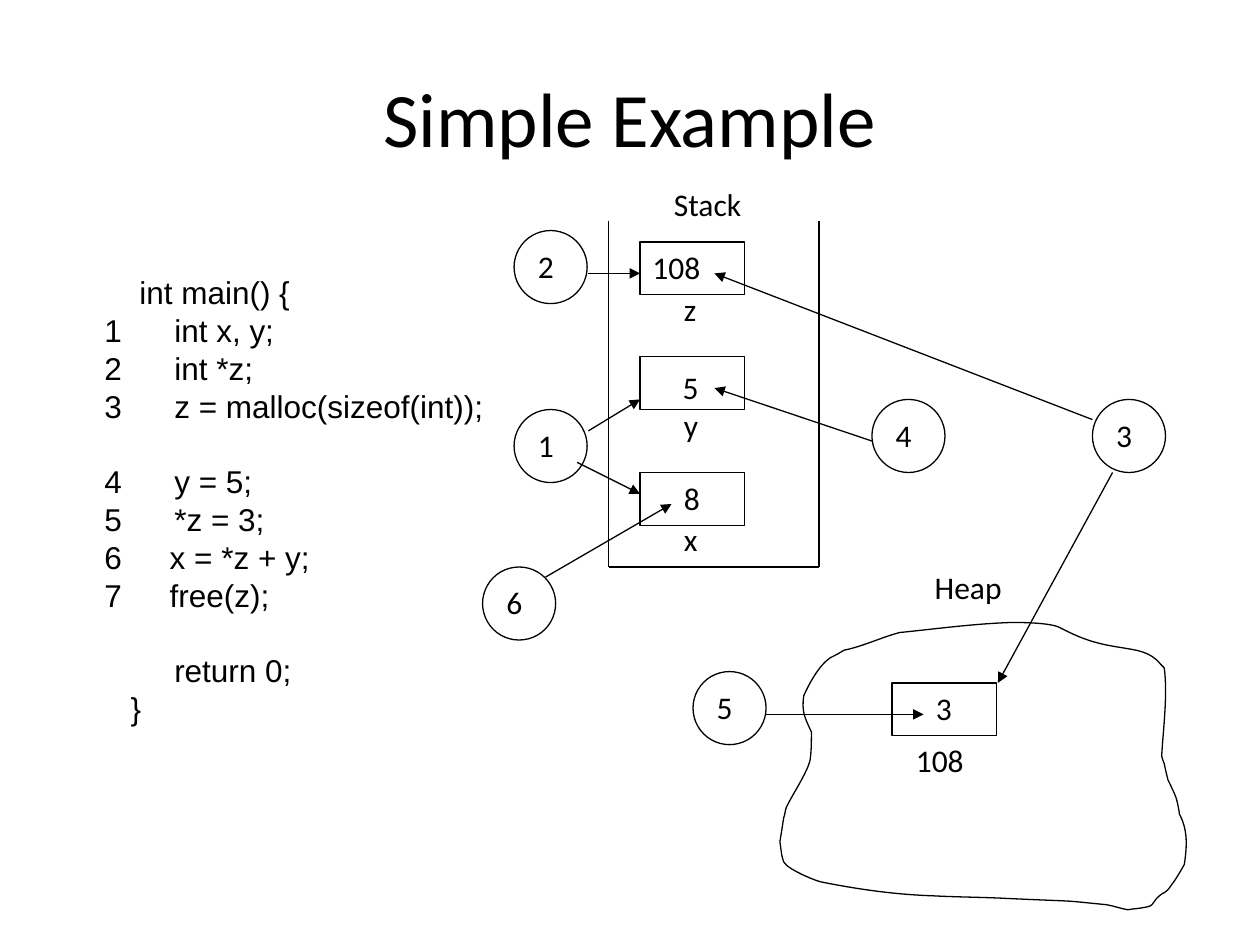
import pptx
import pptx.dml.color
import pptx.enum.shapes
import pptx.enum.text
import pptx.oxml.ns
import pptx.util
from lxml import etree
from pptx.util import Inches

BLACK = "000000"
CODE = [
    ("    int main() {", None, 0),
    ("1      int x, y;", None, 0),
    ("2      int *z;", None, 0),
    ("3      z = malloc(sizeof(int));", None, 0),
    ("4      y = 5;", None, 1),
    ("5      *z = 3;", None, 0),
    ("  x = *z + y;", 6, 0),
    ("  free(z);", 6, 0),
    ("        return 0;", None, 1),
    ("   }", None, 0),
]
STACK_WALLS = [
    (4.83, 1.75, 4.83, 4.5),
    (4.83, 4.5, 6.5, 4.5),
    (6.5, 1.75, 6.5, 4.5),
]
STEPS = [
    ("1", 4.08, 3.25, [(4.67, 3.42, 5.08, 3.17), (4.58, 3.67, 5.08, 3.92)]),
    ("2", 4.08, 1.83, [(4.67, 2.17, 5.08, 2.17)]),
    ("3", 8.67, 3.17, [(8.67, 3.33, 5.67, 2.17), (8.83, 3.75, 7.92, 5.42)]),
    ("4", 6.92, 3.17, [(6.92, 3.5, 5.67, 3.08)]),
    ("5", 5.5, 5.33, [(6.08, 5.67, 7.33, 5.67)]),
    ("6", 3.83, 4.5, [(4.33, 4.58, 5.33, 4)]),
]
CELLS = [(5.08, 3.75), (5.08, 2.83), (5.08, 1.92), (7.08, 5.42)]
LABELS = [
    ("Stack", 5.25, 1.42, 0.83),
    ("Heap", 7.32, 4.46, 0.8),
    ("y", 5.33, 3.17, 0.33),
    ("x", 5.33, 4.08, 0.33),
    ("z", 5.33, 2.25, 0.33),
    ("108", 7.17, 5.83, 0.62),
    ("108", 5.08, 1.92, 0.62),
    ("5", 5.32, 2.87, 0.34),
    ("3", 7.33, 5.42, 0.34),
    ("8", 5.33, 3.75, 0.34),
]
HEAP_START = (7.14, 5.02)
HEAP_CURVES = [
    (6.99, 5.06, 6.85, 5.13, 6.7, 5.16),
    (6.68, 5.17, 6.67, 5.18, 6.65, 5.19),
    (6.63, 5.2, 6.61, 5.21, 6.59, 5.22),
    (6.5, 5.28, 6.42, 5.43, 6.38, 5.52),
    (6.36, 5.65, 6.39, 5.7, 6.44, 5.81),
    (6.44, 5.88, 6.44, 5.96, 6.43, 6.03),
    (6.41, 6.13, 6.28, 6.32, 6.24, 6.41),
    (6.23, 6.44, 6.23, 6.47, 6.22, 6.49),
    (6.21, 6.56, 6.19, 6.68, 6.19, 6.68),
    (6.2, 6.74, 6.2, 6.79, 6.22, 6.84),
    (6.25, 6.9, 6.47, 6.99, 6.52, 7),
    (6.82, 7.06, 7.11, 7.1, 7.41, 7.11),
    (7.6, 7.12, 7.79, 7.12, 7.98, 7.13),
    (8.63, 7.16, 8.37, 7.14, 8.78, 7.18),
    (8.84, 7.19, 8.89, 7.21, 8.95, 7.22),
    (9.01, 7.21, 9.07, 7.21, 9.13, 7.19),
    (9.15, 7.18, 9.16, 7.15, 9.18, 7.13),
    (9.25, 7.06, 9.24, 7.11, 9.3, 7.02),
    (9.34, 6.97, 9.4, 6.86, 9.4, 6.86),
    (9.42, 6.72, 9.43, 6.59, 9.36, 6.46),
    (9.36, 6.44, 9.34, 6.34, 9.33, 6.32),
    (9.31, 6.27, 9.27, 6.19, 9.27, 6.19),
    (9.26, 6.15, 9.25, 6.11, 9.24, 6.06),
    (9.23, 6.04, 9.22, 6, 9.22, 6),
    (9.23, 5.81, 9.27, 5.51, 9.24, 5.3),
    (9.23, 5.29, 9.22, 5.28, 9.21, 5.27),
    (9.13, 5.17, 9.02, 5.16, 8.9, 5.14),
    (8.71, 5.11, 8.6, 5.08, 8.41, 4.98),
    (8.33, 4.94, 8.09, 4.94, 8.03, 4.94),
    (7.73, 4.95, 7.44, 4.99, 7.14, 5.02),
]


def color(value):
    return pptx.dml.color.RGBColor.from_string(value)


def add_xml(parent, tag, **attributes):
    return etree.SubElement(parent, pptx.oxml.ns.qn(tag), attributes)


def write(paragraph, text, size=18, font="Calibri", fill=BLACK, align=None):
    run = paragraph.add_run()
    run.text = text
    run.font.size = pptx.util.Pt(size)
    run.font.name = font
    run.font.color.rgb = color(fill)
    paragraph.alignment = align


def add_text_frame(shapes, left, top, width, height):
    box = shapes.add_textbox(Inches(left), Inches(top), Inches(width), Inches(height))
    frame = box.text_frame
    frame.word_wrap = False
    frame.auto_size = pptx.enum.text.MSO_AUTO_SIZE.SHAPE_TO_FIT_TEXT
    return frame


def add_label(shapes, text, left, top, width):
    write(add_text_frame(shapes, left, top, width, 0.4).paragraphs[0], text)


def outline(shape):
    shape.shadow.inherit = False
    shape.fill.background()
    shape.line.color.rgb = color(BLACK)
    shape.line.width = pptx.util.Pt(0.75)


def add_outline(shapes, kind, left, top, width, height):
    outline(shapes.add_shape(kind, Inches(left), Inches(top), Inches(width), Inches(height)))


def add_line(shapes, ends, arrow=False):
    line = shapes.add_connector(
        pptx.enum.shapes.MSO_CONNECTOR.STRAIGHT, *[Inches(end) for end in ends]
    )
    line.line.color.rgb = color(BLACK)
    line.line.width = pptx.util.Pt(0.75)
    if arrow:
        add_xml(line.line._get_or_add_ln(), "a:tailEnd", type="triangle")
    add_xml(line._element.spPr, "a:effectLst")


def add_step(shapes, number, left, top):
    step = shapes.add_group_shape().shapes
    add_outline(step, pptx.enum.shapes.MSO_SHAPE.OVAL, left, top, 0.58, 0.58)
    add_label(step, number, left + 0.09, top + 0.08, 0.34)


def add_heap(shapes):
    points = [
        (Inches(curve[i]), Inches(curve[i + 1])) for curve in HEAP_CURVES for i in (0, 2, 4)
    ]
    builder = shapes.build_freeform(*[Inches(value) for value in HEAP_START])
    builder.add_line_segments(points, close=True)
    heap = builder.convert_to_shape()
    outline(heap)
    segments = heap._element.xpath(".//a:lnTo")[:len(points)]
    for first, second, third in zip(segments[::3], segments[1::3], segments[2::3]):
        curve = etree.Element(pptx.oxml.ns.qn("a:cubicBezTo"))
        first.addprevious(curve)
        for segment in (first, second, third):
            curve.append(segment[0])
            segment.getparent().remove(segment)


def add_code(shapes):
    frame = add_text_frame(shapes, 0.73, 2.12, 3.21, 3.7)
    pitch = pptx.util.Pt(21.6)
    for index, (text, start, gap) in enumerate(CODE):
        paragraph = frame.paragraphs[0] if index == 0 else frame.add_paragraph()
        properties = paragraph._p.get_or_add_pPr()
        properties.set("marL", str(Inches(0.38)))
        properties.set("indent", str(-Inches(0.38)))
        if start:
            add_xml(properties, "a:buFont", typeface="Arial")
            add_xml(properties, "a:buAutoNum", type="arabicPlain", startAt=str(start))
        paragraph.line_spacing = pitch
        if gap:
            paragraph.space_before = pitch * gap
        write(paragraph, text, font="Arial")


def set_title(title, text):
    title.left, title.top = Inches(0.5), Inches(0.3)
    title.width, title.height = Inches(9), Inches(1.25)
    title.text_frame.vertical_anchor = pptx.enum.text.MSO_ANCHOR.MIDDLE
    write(title.text_frame.paragraphs[0], text, size=44, align=pptx.enum.text.PP_ALIGN.CENTER)


def main():
    deck = pptx.Presentation()
    deck.slide_width, deck.slide_height = Inches(10), Inches(7.5)
    slide = deck.slides.add_slide(deck.slide_layouts[5])
    shapes = slide.shapes
    set_title(shapes.title, "Simple Example")
    add_code(shapes)
    for wall in STACK_WALLS:
        add_line(shapes, wall)
    add_heap(shapes)
    for left, top in CELLS:
        add_outline(shapes, pptx.enum.shapes.MSO_SHAPE.RECTANGLE, left, top, 0.83, 0.42)
    for label in LABELS:
        add_label(shapes, *label)
    for number, left, top, arrows in STEPS:
        add_step(shapes, number, left, top)
        for arrow in arrows:
            add_line(shapes, arrow, arrow=True)
    deck.save("out.pptx")


if __name__ == "__main__":
    main()
